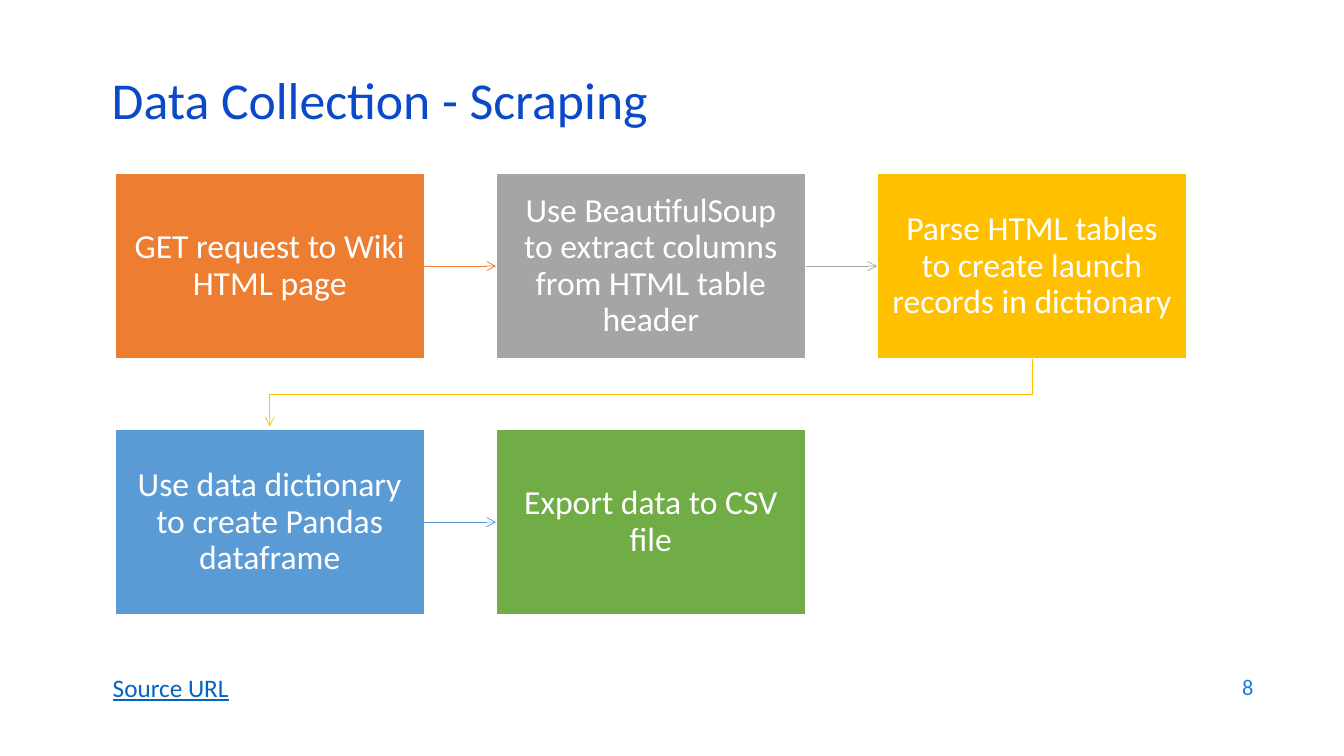
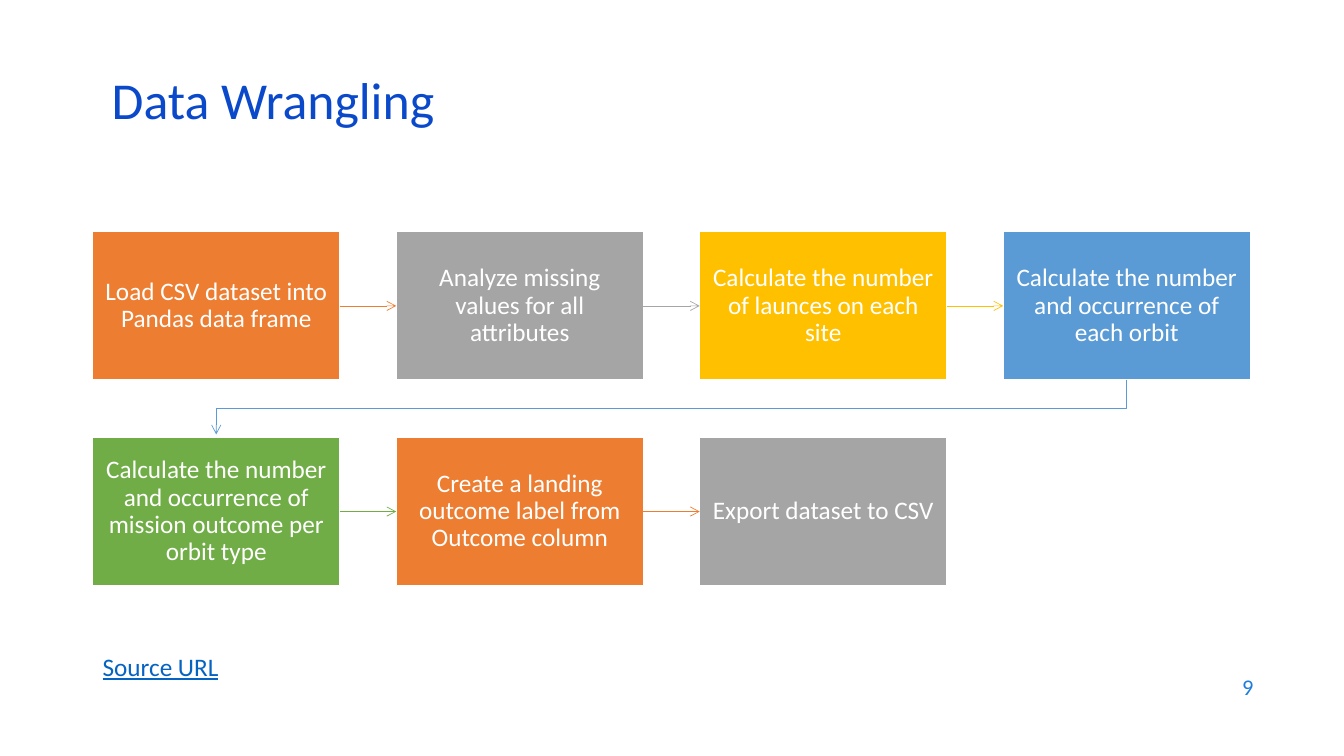
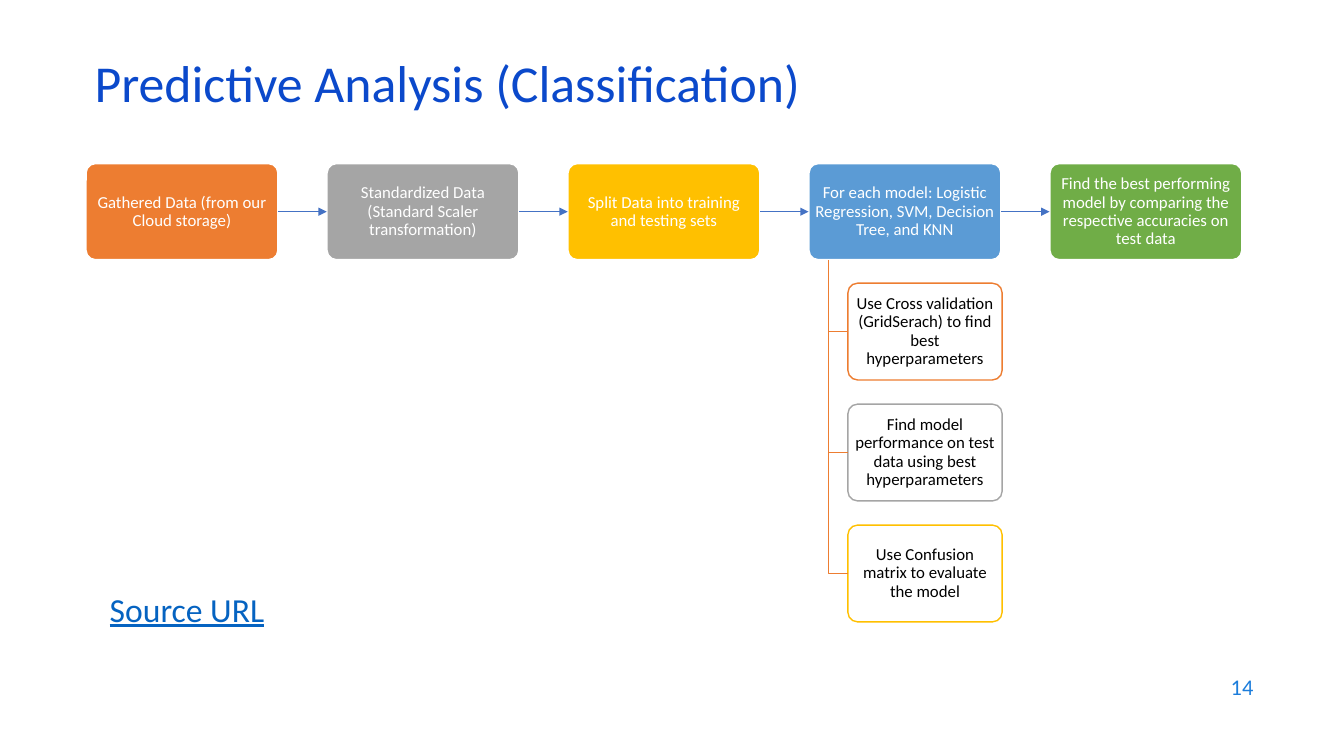
from lxml.etree import SubElement
from pptx import Presentation
from pptx.dml.color import RGBColor
from pptx.enum.shapes import MSO_CONNECTOR as LINE, MSO_SHAPE as SHAPE
from pptx.enum.text import MSO_ANCHOR as ANCHOR, PP_ALIGN as ALIGN
from pptx.oxml.ns import qn
from pptx.util import Inches, Pt

HUES = {
    "title": "0B49CB", "page": "1C7DDB", "link": "0563C1", "arrow": "4472C4",
    "orange": "ED7D31", "gray": "A5A5A5", "gold": "FFC000", "blue": "5B9BD5",
    "green": "70AD47", "white": "FFFFFF", "black": "000000",
}
CYCLE = ["orange", "gray", "gold", "blue", "green"]

SLIDES = [
    {
        "title": "Data Collection - Scraping", "place": (1.01, 0.76), "page": "8",
        "link": (1.02, 6.62, 0.4, 18),
        "kind": SHAPE.RECTANGLE, "cols": 3, "start": (1.14, 1.72), "step": (3.78, 2.54),
        "box": (3.07, 1.84), "inset": (0.15, 0.16), "size": 24, "edge": 1,
        "flow": [
            "GET request to Wiki HTML page",
            "Use BeautifulSoup to extract columns from HTML table header",
            "Parse HTML tables to create launch records in dictionary",
            "Use data dictionary to create Pandas dataframe",
            "Export data to CSV file",
        ],
        "tasks": [], "head": "arrow", "arrow": None,
    },
    {
        "title": "Data Wrangling", "place": (1.01, 0.76), "page": "9",
        "link": (0.92, 6.41, 0.4, 18),
        "kind": SHAPE.RECTANGLE, "cols": 4, "start": (0.92, 2.3), "step": (3.01, 2.04),
        "box": (2.45, 1.47), "inset": (0.12, 0.13), "size": 18, "edge": 1,
        "flow": [
            "Load CSV dataset into Pandas data frame",
            "Analyze missing values for all attributes",
            "Calculate the number of launces on each site",
            "Calculate the number and occurrence of each orbit",
            "Calculate the number and occurrence of mission outcome per orbit type",
            "Create a landing outcome label from Outcome column",
            "Export dataset to CSV",
        ],
        "tasks": [], "head": "arrow", "arrow": None,
    },
    {
        "title": "Predictive Analysis (Classification)", "place": (0.84, 0.59), "page": "14",
        "link": (0.99, 5.79, 0.5, 24),
        "kind": SHAPE.ROUNDED_RECTANGLE, "cols": 5, "start": (0.85, 1.62), "step": (2.39, 0),
        "box": (1.91, 0.96), "inset": (0.03, 0.02), "size": 12, "edge": 1.5,
        "flow": [
            "Gathered Data (from our Cloud storage)",
            "Standardized Data (Standard Scaler transformation)",
            "Split Data into training and testing sets",
            "For each model: Logistic Regression, SVM, Decision Tree, and KNN",
            "Find the best performing model by comparing the respective accuracies on test data",
        ],
        "tasks": [
            "Use Cross validation (GridSerach) to find best hyperparameters",
            "Find model performance on test data using best hyperparameters",
            "Use Confusion matrix to evaluate the model",
        ],
        "head": "triangle", "arrow": "arrow",
    },
]


def write(shape, text, size, hue, align=ALIGN.LEFT, anchor=ANCHOR.MIDDLE, space=1.0):
    frame = shape.text_frame
    frame.word_wrap = True
    frame.vertical_anchor = anchor
    para = frame.paragraphs[0]
    para.text = text
    para.alignment = align
    para.line_spacing = space
    font = para.runs[0].font
    font.name = "Calibri"
    font.size = Pt(size)
    font.color.rgb = RGBColor.from_string(HUES[hue])
    return font


def ink(shape, hue, width, head=None):
    shape.line.color.rgb = RGBColor.from_string(HUES[hue])
    shape.line.width = Pt(width)
    if head:
        SubElement(shape.element.spPr.find(qn("a:ln")), qn("a:tailEnd"), type=head)


deck = Presentation()
deck.slide_width = Inches(13.33)
deck.slide_height = Inches(7.5)

for data in SLIDES:
    shapes = deck.slides.add_slide(deck.slide_layouts[6]).shapes

    left, top = data["place"]
    title = shapes.add_textbox(Inches(left), Inches(top), Inches(11.5), Inches(0.6))
    write(title, data["title"], 37, "title", space=0.7)
    page = shapes.add_textbox(Inches(9.53), Inches(6.59), Inches(3), Inches(0.44))
    write(page, data["page"], 16, "page", ALIGN.RIGHT)

    wide, high = data["box"]
    cells, paths = [], []
    for i, text in enumerate(data["flow"]):
        row, col = divmod(i, data["cols"])
        left = data["start"][0] + col * data["step"][0]
        top = data["start"][1] + row * data["step"][1]
        hue = CYCLE[i % 5]
        cells.append((text, left, top, wide, hue, hue, "white", data["edge"]))
        if col == data["cols"] - 1 and i + 1 < len(data["flow"]):
            mid, first = left + wide / 2, data["start"][0] + wide / 2
            low, next_top = top + high, top + data["step"][1]
            turn = (low + next_top) / 2
            bend = [(mid, low), (mid, turn), (first, turn), (first, next_top - 0.03)]
            paths.append((bend, hue, 0.5, data["head"]))

    for i, text in enumerate(data["tasks"]):
        top = 2.81 + 1.2 * i
        cells.append((text, 8.41, top, 1.53, CYCLE[i], "white", "black", 1))
        mid = top + high / 2
        paths.append(([(8.22, 2.58), (8.22, mid), (8.41, mid)], "orange", 1, None))

    boxes = []
    for text, left, top, width, hue, fill, tone, edge in cells:
        box = shapes.add_shape(data["kind"], Inches(left), Inches(top), Inches(width), Inches(high))
        box.shadow.inherit = False
        if data["kind"] == SHAPE.ROUNDED_RECTANGLE:
            box.adjustments[0] = 0.1
        box.fill.solid()
        box.fill.fore_color.rgb = RGBColor.from_string(HUES[fill])
        ink(box, "white" if tone == "white" else hue, edge)
        frame = box.text_frame
        frame.margin_left = frame.margin_right = Inches(data["inset"][0])
        frame.margin_top = frame.margin_bottom = Inches(data["inset"][1])
        write(box, text, data["size"], tone, ALIGN.CENTER, space=0.9)
        boxes.append(box)

    for i in range(len(data["flow"]) - 1):
        if (i + 1) % data["cols"]:
            arrow = shapes.add_connector(LINE.STRAIGHT, 0, 0, 0, 0)
            arrow.begin_connect(boxes[i], 3)
            arrow.end_connect(boxes[i + 1], 1)
            ink(arrow, data["arrow"] or CYCLE[i % 5], 0.5, data["head"])
            SubElement(arrow.element.spPr, qn("a:effectLst"))

    for points, hue, width, head in paths:
        spots = [(Inches(x), Inches(y)) for x, y in points]
        pen = shapes.build_freeform(*spots[0])
        pen.add_line_segments(spots[1:], close=False)
        route = pen.convert_to_shape()
        route.shadow.inherit = False
        route.fill.background()
        ink(route, hue, width, head)

    left, top, tall, size = data["link"]
    link = shapes.add_textbox(Inches(left), Inches(top), Inches(6.67), Inches(tall))
    write(link, "Source URL", size, "link", anchor=ANCHOR.TOP).underline = True

deck.save("out.pptx")
